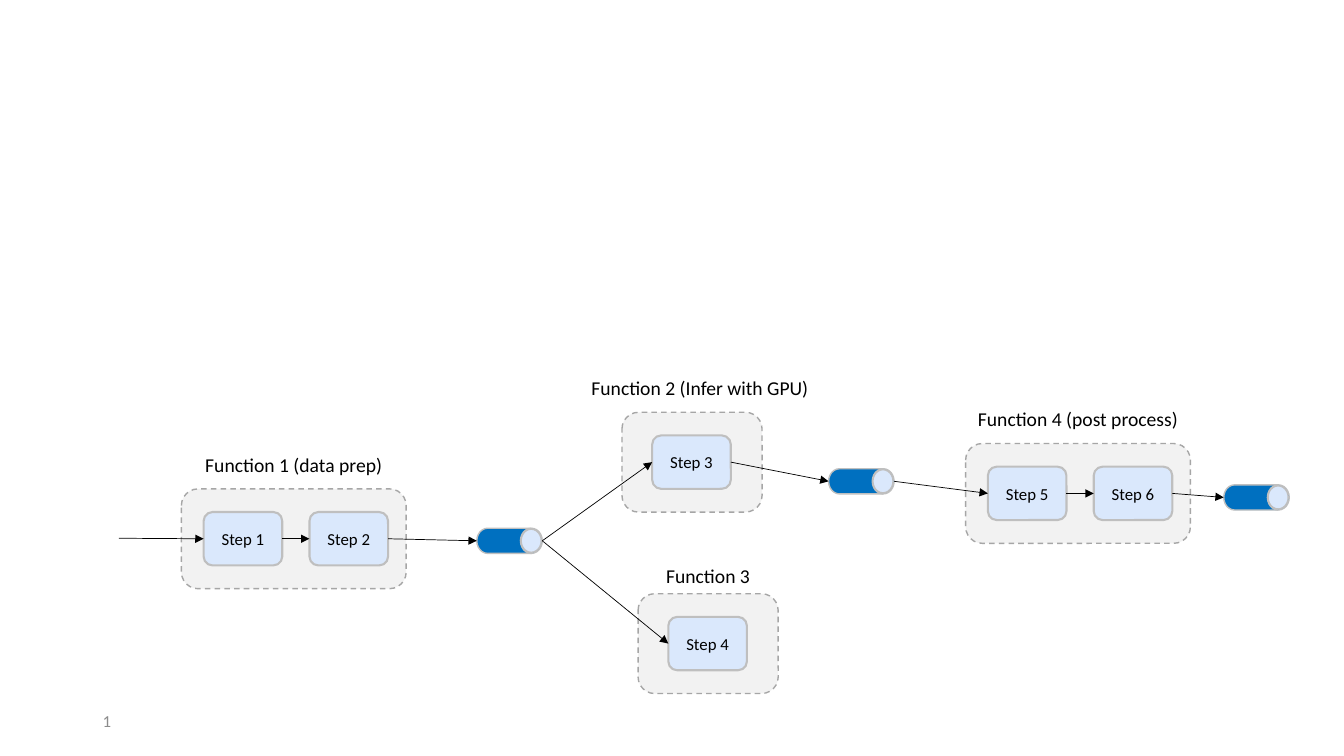
from lxml.etree import SubElement
from pptx import Presentation
from pptx.dml.color import RGBColor
from pptx.enum.dml import MSO_LINE
from pptx.enum.shapes import MSO_CONNECTOR, MSO_SHAPE
from pptx.enum.text import MSO_ANCHOR, PP_ALIGN
from pptx.oxml.ns import qn
from pptx.util import Inches, Pt

BLACK = RGBColor(0x00, 0x00, 0x00)
NUMBER_GRAY = RGBColor(0x8C, 0x8C, 0x8C)
BOX_FILL = RGBColor(0xF2, 0xF2, 0xF2)
BOX_LINE = RGBColor(0xA6, 0xA6, 0xA6)
STEP_FILL = RGBColor(0xDA, 0xE8, 0xFC)
STEP_LINE = RGBColor(0xBF, 0xBF, 0xBF)
QUEUE_BLUE = RGBColor(0x00, 0x70, 0xC0)

# All lengths below are cells of a square grid with ten cells to the inch.
COLUMNS, ROWS = 133.33, 75
STEP_WIDTH, STEP_HEIGHT, STEP_PITCH = 7.8, 5.3, 10.5
BOX_HEIGHT = 9.9
LABEL_WIDTH, LABEL_HEIGHT = 27, 3.4
QUEUE_WIDTH, QUEUE_HEIGHT = 6.5, 2.5
LID_WIDTH, LID_HEIGHT = 2, 2.3


def cells(count):
    return Inches(count / 10)


def area(left, top, width, height):
    return [cells(length) for length in (left, top, width, height)]


def write(shape, text, size=12, color=BLACK, align=PP_ALIGN.CENTER,
          anchor=MSO_ANCHOR.MIDDLE, space_after=None):
    frame = shape.text_frame
    frame.word_wrap = True
    frame.vertical_anchor = anchor
    para = frame.paragraphs[0]
    para.alignment = align
    para.space_after = space_after
    span = para.add_run()
    span.text = text
    span.font.name = "Calibri"
    span.font.size = Pt(size)
    span.font.color.rgb = color


def add_outlined(shapes, kind, place, fill, line, weight=1):
    shape = shapes.add_shape(kind, *place)
    shape.shadow.inherit = False
    shape.fill.solid()
    shape.fill.fore_color.rgb = fill
    shape.line.color.rgb = line
    shape.line.width = Pt(weight)
    return shape


def add_function(page, label, steps, left, top, width, padding,
                 label_rise=4.1, label_shift=0):
    """Draw a dashed box with its label and steps; return the step shapes."""
    box = add_outlined(page.shapes, MSO_SHAPE.ROUNDED_RECTANGLE,
                       area(left, top, width, BOX_HEIGHT), BOX_FILL, BOX_LINE)
    box.line.dash_style = MSO_LINE.DASH
    label_left = left + (width - LABEL_WIDTH) / 2 + label_shift
    caption = page.shapes.add_textbox(
        *area(label_left, top - label_rise, LABEL_WIDTH, LABEL_HEIGHT))
    write(caption, label, size=14, anchor=MSO_ANCHOR.TOP)

    step_top = top + (BOX_HEIGHT - STEP_HEIGHT) / 2
    shapes = []
    for index, name in enumerate(steps):
        step = add_outlined(
            page.shapes, MSO_SHAPE.ROUNDED_RECTANGLE,
            area(left + padding + index * STEP_PITCH, step_top, STEP_WIDTH, STEP_HEIGHT),
            STEP_FILL, STEP_LINE, weight=1.5)
        write(step, name)
        shapes.append(step)
    for source, target in zip(shapes, shapes[1:]):
        add_arrow(page, right_of(source), target)
    return shapes


def add_queue(page, left, top):
    """Draw a blue drum with a pale lid, as one group; return the drum."""
    group = page.shapes.add_group_shape()
    drum = add_outlined(group.shapes, MSO_SHAPE.FLOWCHART_DIRECT_ACCESS_STORAGE,
                        area(left, top, QUEUE_WIDTH, QUEUE_HEIGHT), QUEUE_BLUE, STEP_LINE)
    add_outlined(group.shapes, MSO_SHAPE.OVAL,
                 area(left + QUEUE_WIDTH - LID_WIDTH - 0.1,
                      top + (QUEUE_HEIGHT - LID_HEIGHT) / 2, LID_WIDTH, LID_HEIGHT),
                 STEP_FILL, STEP_LINE)
    return drum


def right_of(shape):
    return shape.left + shape.width, shape.top + shape.height // 2


def add_arrow(page, start, target):
    """Draw an arrow from a point to the middle of the target's left side."""
    arrow = page.shapes.add_connector(
        MSO_CONNECTOR.STRAIGHT, *start, target.left, target.top + target.height // 2)
    arrow.end_connect(target, 1)
    arrow.line.color.rgb = BLACK
    arrow.line.width = Pt(0.5)
    SubElement(arrow.line._get_or_add_ln(), qn("a:tailEnd"), type="triangle")
    SubElement(arrow._element.spPr, qn("a:effectLst"))


def add_pipeline(page):
    step1, step2 = add_function(page, "Function 1 (data prep)", ["Step 1", "Step 2"],
                                18, 48.5, 22.3, 2.2)
    [step3] = add_function(page, "Function 2 (Infer with GPU)", ["Step 3"],
                           61.7, 40.9, 13.9, 3, label_shift=0.8)
    [step4] = add_function(page, "Function 3", ["Step 4"],
                           63.3, 58.9, 13.9, 3, label_rise=3.4)
    step5, step6 = add_function(page, "Function 4 (post process)", ["Step 5", "Step 6"],
                                95.8, 44, 22.3, 2.2)
    prepared = add_queue(page, 47.3, 52.4)
    inferred = add_queue(page, 82.2, 46.5)
    processed = add_queue(page, 121.4, 48.1)

    add_arrow(page, (cells(11.8), cells(53.4)), step1)
    for source, target in [(step2, prepared), (prepared, step3), (prepared, step4),
                           (step3, inferred), (inferred, step5), (step6, processed)]:
        add_arrow(page, right_of(source), target)


def add_page_number(page):
    box = page.shapes.add_textbox(*area(9.2, 69.5, 30, 4))
    write(box, "1", color=NUMBER_GRAY, align=PP_ALIGN.LEFT, space_after=Pt(6))


def main():
    deck = Presentation()
    deck.slide_width, deck.slide_height = cells(COLUMNS), cells(ROWS)
    page = deck.slides.add_slide(deck.slide_layouts[6])
    add_pipeline(page)
    add_page_number(page)
    deck.save("out.pptx")


if __name__ == "__main__":
    main()
